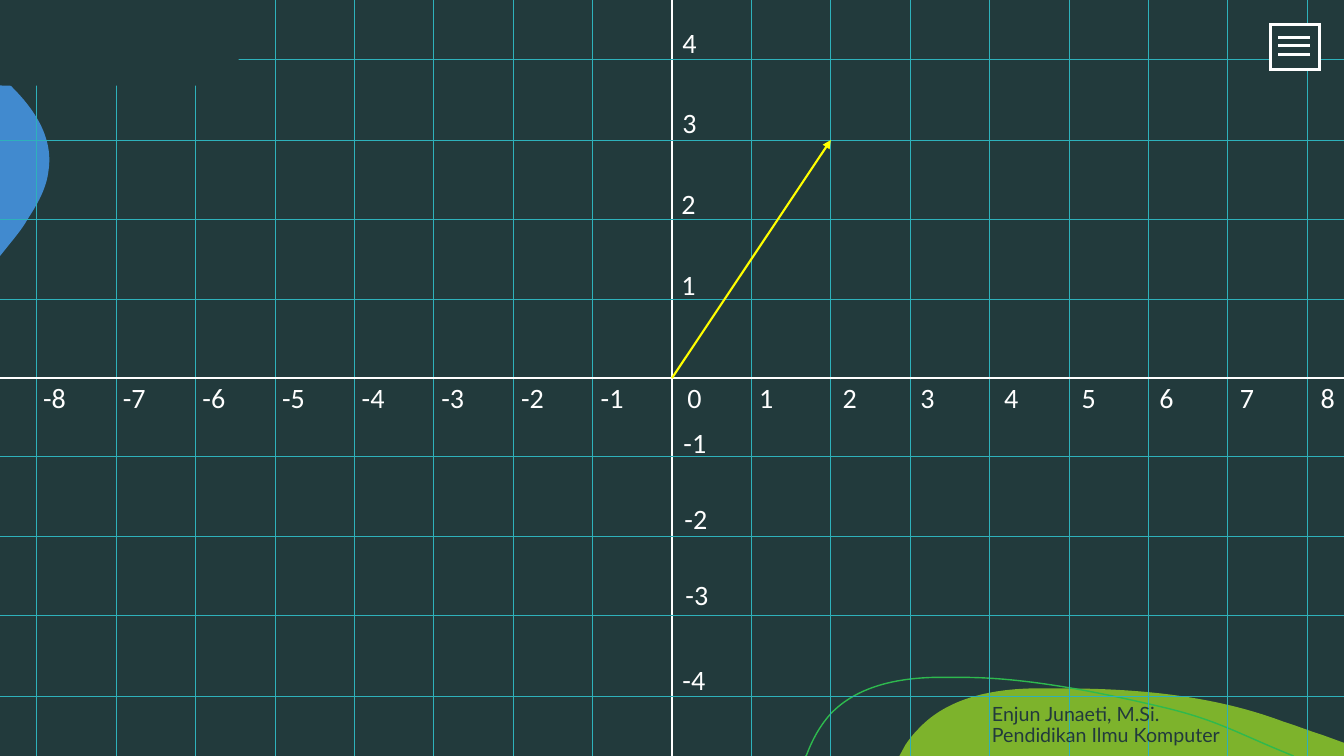
import pptx
import pptx.util
import pptx.dml.color
import pptx.enum.shapes
import pptx.enum.text
import pptx.oxml
import pptx.oxml.ns

Inches = pptx.util.Inches
SHAPES = pptx.enum.shapes.MSO_SHAPE
NAMESPACE = pptx.oxml.ns.nsdecls("a")
WIDTH, HEIGHT = 13.33, 7.5
ORIGIN_X, ORIGIN_Y = WIDTH / 2, HEIGHT / 2
UNIT_X = 6.3 / 8
ROWS = (0.59, 1.39, 2.18, 2.97, 4.53, 5.32, 6.1, 6.91)

COLORS = {
    "dark": "223A3C",
    "white": "FFFFFF",
    "grid": "2EB1BB",
    "vector": "FFFF00",
    "leaf": "7DB32C",
    "drop": "418ACF",
    "curve": "2EB94E",
}


def color(name):
    return pptx.dml.color.RGBColor.from_string(COLORS[name])


class SlideBuilder:
    def __init__(self, page):
        self.shapes = page.shapes
        fill = page.background.fill
        fill.solid()
        fill.fore_color.rgb = color("dark")

    def paint(self, shape, fill=None, line=None, weight=1):
        shape.shadow.inherit = False
        if fill:
            shape.fill.solid()
            shape.fill.fore_color.rgb = color(fill)
        else:
            shape.fill.background()
        if line:
            shape.line.color.rgb = color(line)
            shape.line.width = pptx.util.Pt(weight)
            shape.line._get_or_add_ln().append(pptx.oxml.parse_xml(
                '<a:miter %s lim="800000"/>' % NAMESPACE))
        else:
            shape.line.fill.background()

    def outline(self, start, segments, close=True, **style):
        """A segment is a line (2 numbers) or a cubic curve (6 numbers)."""
        builder = self.shapes.build_freeform(Inches(start[0]), Inches(start[1]))
        builder.add_line_segments(
            [(Inches(segment[-2]), Inches(segment[-1])) for segment in segments],
            close=close)
        shape = builder.convert_to_shape()
        sides = shape._element.spPr.findall(".//" + pptx.oxml.ns.qn("a:lnTo"))
        for side, segment in zip(sides, segments):
            if len(segment) == 6:
                points = "".join(
                    '<a:pt x="%d" y="%d"/>' % (Inches(x) - shape.left, Inches(y) - shape.top)
                    for x, y in zip(segment[::2], segment[1::2]))
                side.getparent().replace(side, pptx.oxml.parse_xml(
                    "<a:cubicBezTo %s>%s</a:cubicBezTo>" % (NAMESPACE, points)))
        self.paint(shape, **style)

    def shape(self, kind, left, top, width, height, parent=None, **style):
        box = (parent or self.shapes).add_shape(
            kind, Inches(left), Inches(top), Inches(width), Inches(height))
        self.paint(box, **style)
        return box

    def line(self, start, end, name, weight, arrow=False, parent=None):
        connector = (parent or self.shapes).add_connector(
            pptx.enum.shapes.MSO_CONNECTOR.STRAIGHT,
            Inches(start[0]), Inches(start[1]), Inches(end[0]), Inches(end[1]))
        connector.line.color.rgb = color(name)
        connector.line.width = pptx.util.Pt(weight)
        if arrow:
            connector.line._get_or_add_ln().append(pptx.oxml.parse_xml(
                '<a:tailEnd %s type="triangle"/>' % NAMESPACE))
        connector._element.spPr.append(
            pptx.oxml.parse_xml("<a:effectLst %s/>" % NAMESPACE))

    def text(self, left, top, width, height, lines, size=20, font="Calibri",
             name="white", spacing=None, bottom=False, tabs=()):
        box = self.shapes.add_textbox(
            Inches(left), Inches(top), Inches(width), Inches(height))
        frame = box.text_frame
        frame.word_wrap = True
        if bottom:
            frame.vertical_anchor = pptx.enum.text.MSO_ANCHOR.BOTTOM
        else:
            frame.auto_size = pptx.enum.text.MSO_AUTO_SIZE.SHAPE_TO_FIT_TEXT
        for index, line in enumerate(lines):
            para = frame.add_paragraph() if index else frame.paragraphs[0]
            if tabs:
                stops = "".join('<a:tab pos="%d" algn="l"/>' % Inches(stop) for stop in tabs)
                para._p.get_or_add_pPr().append(pptx.oxml.parse_xml(
                    "<a:tabLst %s>%s</a:tabLst>" % (NAMESPACE, stops)))
            if spacing:
                para.line_spacing = spacing
            span = para.add_run()
            span.text = line
            span.font.size = pptx.util.Pt(size)
            span.font.name = font
            span.font.color.rgb = color(name)


def main():
    deck = pptx.Presentation()
    deck.slide_width, deck.slide_height = Inches(WIDTH), Inches(HEIGHT)
    slide = SlideBuilder(deck.slides.add_slide(deck.slide_layouts[6]))

    # Background decoration
    slide.outline((10.54, 6.83), [
        (11.28, 6.83, 12.04, 6.9, 12.73, 7.16),
        (12.86, 7.2, 12.98, 7.25, 13.11, 7.29),
        (13.33, 7.37), (13.33, 7.5), (8.92, 7.5), (8.98, 7.39),
        (9.02, 7.33, 9.06, 7.28, 9.11, 7.23),
        (9.39, 6.93, 9.82, 6.84, 10.23, 6.83),
        (10.33, 6.83, 10.43, 6.83, 10.54, 6.83)], fill="leaf")
    slide.outline((0, 0.75), [
        (0.01, 0.76),
        (0.3, 1.02, 0.54, 1.33, 0.48, 1.7),
        (0.46, 1.87, 0.37, 2.03, 0.27, 2.18),
        (0.24, 2.24, 0.17, 2.33, 0.08, 2.44),
        (0, 2.54)], fill="drop")
    slide.outline((7.99, 7.5), [
        (8, 7.49),
        (8.06, 7.33, 8.14, 7.19, 8.24, 7.08),
        (8.5, 6.81, 8.89, 6.73, 9.26, 6.72),
        (9.55, 6.72),
        (10.22, 6.72, 11, 6.89, 11.55, 7.02),
        (12.09, 7.15, 12.26, 7.27, 12.83, 7.5)], close=False, line="curve")

    # Grid and axes
    for step in range(-8, 9):
        x = ORIGIN_X + step * UNIT_X
        style = ("grid", 0.5) if step else ("white", 1.5)
        slide.line((x, 0), (x, HEIGHT), *style)
    slide.line((0, ORIGIN_Y), (WIDTH, ORIGIN_Y), "white", 1.5)
    for y in ROWS:
        slide.line((0, y), (WIDTH, y), "grid", 0.5)

    # Vector (2, 3)
    slide.line((ORIGIN_X, ORIGIN_Y), (ORIGIN_X + 2 * UNIT_X, ROWS[1]),
               "vector", 1.5, arrow=True)

    # Axis numbers
    tabs = [0.79 * step for step in range(1, 8)]
    tabs += [6.39, 7.1, 7.93, 8.7, 9.53, 10.3, 11.07, 11.87, 12.67]
    slide.text(0.33, 3.73, WIDTH, 0.44,
               ["\t".join(str(number) for number in range(-8, 9))], tabs=tabs)
    for number, left, top, width in (
            (4, 6.67, 0.2, 0.41), (3, 6.67, 1, 0.41),
            (2, 6.66, 1.8, 0.41), (1, 6.66, 2.6, 0.41),
            (-1, 6.68, 4.17, 0.55), (-2, 6.69, 4.93, 0.55),
            (-3, 6.7, 5.68, 0.55), (-4, 6.67, 6.52, 0.55)):
        slide.text(left, top, width, 0.44, [str(number)])

    # Menu button
    menu = slide.shapes.add_group_shape().shapes
    slide.shape(SHAPES.RECTANGLE, 12.6, 0.24, 0.49, 0.45, parent=menu,
                fill="dark", line="white", weight=2.25)
    for y in (0.37, 0.45, 0.54):
        slide.line((12.68, y), (12.99, y), "white", 2.25, parent=menu)

    # Empty title band
    band = slide.shape(SHAPES.ROUNDED_RECTANGLE, -0.38, 0, 2.78, 0.85, fill="dark")
    band.adjustments[0] = 0.5

    # Author
    slide.text(9.74, 6.85, 8.74, 0.61,
               ["Enjun Junaeti, M.Si.", "Pendidikan Ilmu Komputer"],
               size=14, font="Lato", name="dark", spacing=0.9, bottom=True)

    deck.save("out.pptx")


if __name__ == "__main__":
    main()
